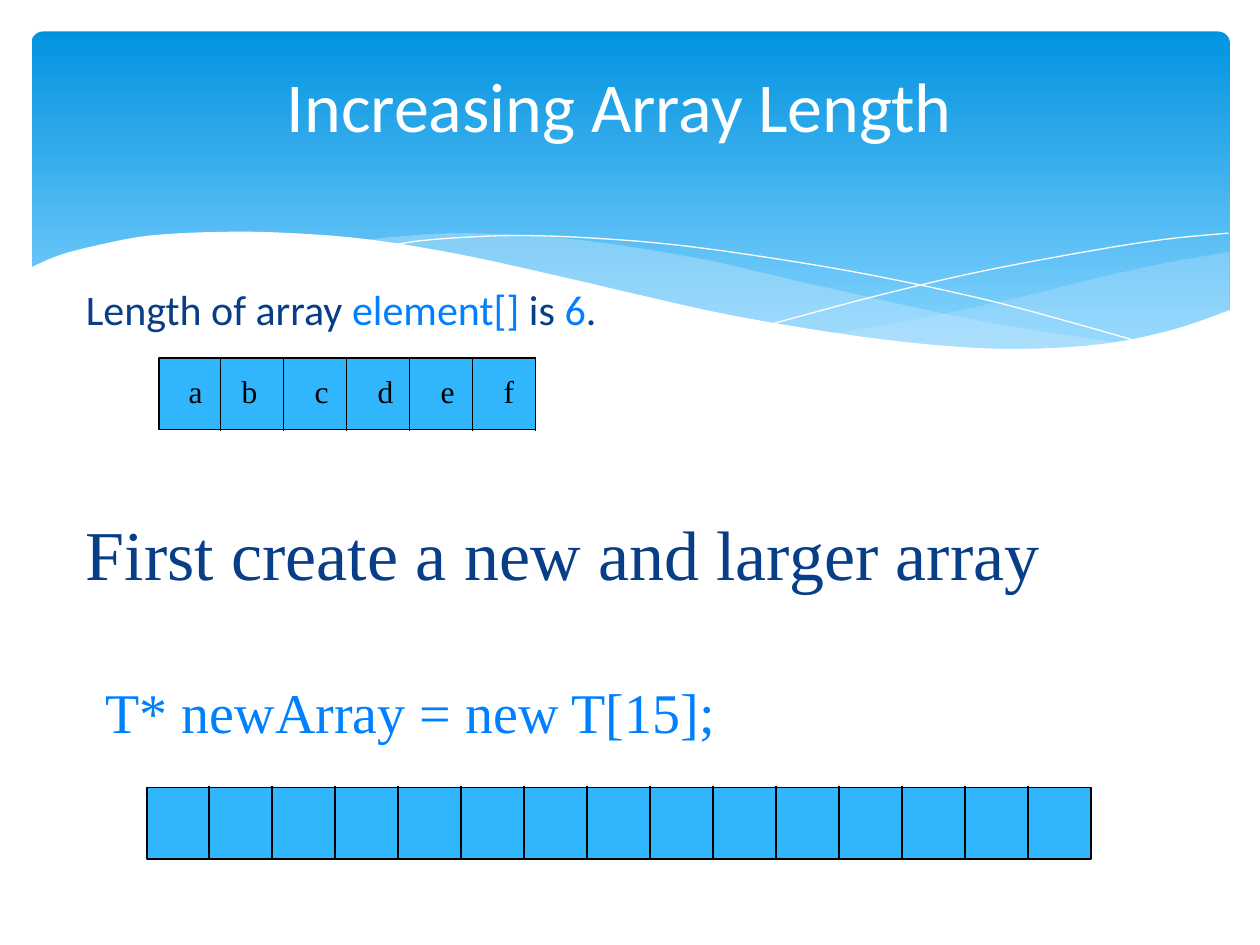
from lxml.etree import SubElement
from pptx import Presentation
from pptx.dml.color import RGBColor
from pptx.enum.shapes import MSO_CONNECTOR, MSO_SHAPE
from pptx.enum.text import MSO_ANCHOR, PP_ALIGN
from pptx.oxml.ns import qn
from pptx.util import Pt

WHITE = RGBColor(0xFF, 0xFF, 0xFF)
BLACK = RGBColor(0x00, 0x00, 0x00)
NAVY = RGBColor(0x07, 0x3E, 0x87)
BRIGHT = RGBColor(0x00, 0x80, 0xFF)
CELL_BLUE = RGBColor(0x31, 0xB6, 0xFD)
PANEL_TOP = RGBColor(0x02, 0x93, 0xE0)
PANEL_BOTTOM = RGBColor(0x83, 0xD3, 0xFE)
MIST = RGBColor(0xC6, 0xE7, 0xFC)
SANS, SERIF = "Calibri", "Times New Roman"
CELL = 36

# Edges of the waves, as points that a smooth curve passes through
RIGHT_TOP = [(702.5, 144), (673, 149), (641.5, 155.5), (620, 160.6),
             (579.6, 170.6), (525, 182.2), (476, 190.8)]
RIGHT_BASE = [(476, 190.8), (507.6, 195), (545, 198.7), (578, 200),
              (615, 198.7), (646, 194.5), (673, 188.5), (702.5, 178)]
MIDDLE_TOP = [(643, 196.5), (581, 187), (533.5, 178), (481, 166.3),
              (453, 160), (409.7, 149.8), (370, 142.6), (334.8, 137.5),
              (302.4, 134.6), (260, 133.2), (225.4, 135.4), (206, 137.5)]
MIDDLE_BASE = [(206, 137.5), (246, 143.3), (291, 152), (323.3, 159.8),
               (381.6, 172.8), (432.7, 183.6), (478.8, 191.5), (520, 197.3),
               (556.6, 199.6), (589, 200.2), (617, 199.4), (643, 196.5)]
FALLING = [(222.5, 140.4), (241, 137.5), (269.3, 135.4), (299.5, 134.6),
           (337.7, 136), (383.8, 139.7), (437.8, 147), (500.4, 157.7),
           (572.4, 173.5), (653, 195.8)]
RISING = [(441.4, 185), (500.4, 169.2), (558.7, 155.5), (623.5, 143.3),
          (665.3, 136.8), (702, 133.2)]
FRONT = [(703.4, 177), (669.6, 188.6), (630, 196.6), (582.5, 199.4),
         (535.7, 197.3), (481, 190.8), (416.9, 180), (362, 167.8),
         (321.8, 158.4), (262.8, 145.4), (210.2, 136.8), (165.6, 133.2),
         (127.4, 132.5), (85.7, 134.6), (54.7, 140.4), (33, 146.2),
         (16.6, 153.4)]


def smooth(knots, steps=5):
    """Catmull-Rom curve through the knots."""
    padded = [knots[0], *knots, knots[-1]]
    curve = [knots[0]]
    for a, b, c, d in zip(padded, padded[1:], padded[2:], padded[3:]):
        for step in range(1, steps + 1):
            t = step / steps
            curve.append(tuple(
                (2 * q + (r - p) * t + (2 * p - 5 * q + 4 * r - s) * t ** 2
                 + (3 * q - p - 3 * r + s) * t ** 3) / 2
                for p, q, r, s in zip(a, b, c, d)))
    return curve


def add_wave(parts, left, top, outline, color, opacity=None, closed=True):
    points = [(Pt(left + x), Pt(top + y)) for x, y in outline]
    builder = parts.build_freeform(*points[0], scale=1.0)
    builder.add_line_segments(points[1:], close=closed)
    wave = builder.convert_to_shape()
    wave.shadow.inherit = False
    if not closed:
        wave.fill.background()
        wave.line.color.rgb = color
        wave.line.width = Pt(0)
        return
    wave.line.fill.background()
    wave.fill.solid()
    wave.fill.fore_color.rgb = color
    if opacity is not None:
        tint = wave.element.spPr.find(qn("a:solidFill"))[0]
        SubElement(tint, qn("a:alpha"), val=str(opacity * 1000))


def add_backdrop(page, left, top):
    # Gradient panel
    panel = page.shapes.add_shape(MSO_SHAPE.ROUNDED_RECTANGLE, Pt(left + 18),
                                  Pt(top + 18), Pt(684.7), Pt(194.4))
    panel.adjustments[0] = 0.034
    panel.shadow.inherit = False
    panel.line.fill.background()
    panel.fill.gradient()
    panel.fill.gradient_angle = 270
    stops = panel.fill.gradient_stops
    for stop, color, place in zip(stops, (PANEL_TOP, PANEL_BOTTOM), (0, 0.9)):
        stop.color.rgb = color
        stop.position = place

    # Waves, from back to front
    parts = page.shapes.add_group_shape().shapes
    add_wave(parts, left, top, smooth(RIGHT_TOP) + smooth(RIGHT_BASE), MIST, 29)
    add_wave(parts, left, top, smooth(MIDDLE_TOP) + smooth(MIDDLE_BASE), MIST, 40)
    for thread in (FALLING, RISING):
        add_wave(parts, left, top, smooth(thread), WHITE, closed=False)
    add_wave(parts, left, top,
             smooth(FRONT) + [(16.6, 237), (703.4, 237)], WHITE)


def write(para, text, font, size, color):
    span = para.add_run()
    span.text = text
    span.font.name = font
    span.font.size = Pt(size)
    span.font.color.rgb = color


def add_title(page, left, top, width, height):
    title = page.shapes.title
    title.left, title.top = Pt(left), Pt(top)
    title.width, title.height = Pt(width), Pt(height)
    title.text_frame.vertical_anchor = MSO_ANCHOR.MIDDLE
    para = title.text_frame.paragraphs[0]
    para.alignment = PP_ALIGN.CENTER
    write(para, "Increasing Array Length", SANS, 40, WHITE)
    # Bring the title in front of the backdrop
    page.shapes.element.append(title.element)


def add_text(parts, left, top, width, height, spans, font, size, wrap=True):
    box = parts.add_textbox(Pt(left), Pt(top), Pt(width), Pt(height))
    box.text_frame.word_wrap = wrap
    para = box.text_frame.paragraphs[0]
    for text, color in spans:
        write(para, text, font, size, color)
    return para


def add_array(page, left, top, width, height, dividers, labels=()):
    parts = page.shapes.add_group_shape().shapes
    bar = parts.add_shape(MSO_SHAPE.RECTANGLE, Pt(left), Pt(top),
                          Pt(width), Pt(height))
    bar.shadow.inherit = False
    bar.fill.solid()
    bar.fill.fore_color.rgb = CELL_BLUE
    bar.line.color.rgb = BLACK
    bar.line.width = Pt(1)

    # Cell borders
    for index in range(1, dividers + 1):
        x = Pt(left - 0.7 + index * CELL)
        border = parts.add_connector(MSO_CONNECTOR.STRAIGHT, x, Pt(top - 0.7),
                                     x, Pt(top + height + 0.7))
        border.line.color.rgb = BLACK
        border.line.width = Pt(1)
        SubElement(border.element.spPr, qn("a:effectLst"))

    # Cell values, each with its indent in the cell
    for index, (label, indent, label_width) in enumerate(labels):
        add_text(parts, left + index * CELL + indent, top + 4.3, label_width,
                 36, [(label, BLACK)], SERIF, 18, wrap=False)


def main():
    deck = Presentation()
    deck.slide_width, deck.slide_height = Pt(720), Pt(540)
    page = deck.slides.add_slide(deck.slide_layouts[5])

    add_backdrop(page, 0, 0)
    add_title(page, 48, 24, 612, 72)

    # Current array
    para = add_text(page.shapes, 42, 162, 612, 42,
                    [("Length of array ", NAVY), ("element[]", BRIGHT),
                     (" is", NAVY), (" 6", BRIGHT), (".", NAVY)], SANS, 24)
    para.line_spacing = 0.9
    add_array(page, 90.7, 204.5, 215.3, 41, 6,
              [("a", 10, 25.2), ("b", 4.3, 26.6), ("c", 10, 25.2),
               ("d", 10, 26.6), ("e", 10, 25.2), ("f", 10, 22.3)])

    # Larger array
    add_array(page, 84.2, 450, 539.3, 41, 14)
    add_text(page.shapes, 53.3, 383.8, 504.7, 45.4,
             [("T* newArray = new T[15];", BRIGHT)], SERIF, 32)
    add_text(page.shapes, 42, 288, 561.6, 55.4,
             [("First create a new and larger array", NAVY)], SERIF, 40,
             wrap=False)

    deck.save("out.pptx")


if __name__ == "__main__":
    main()
